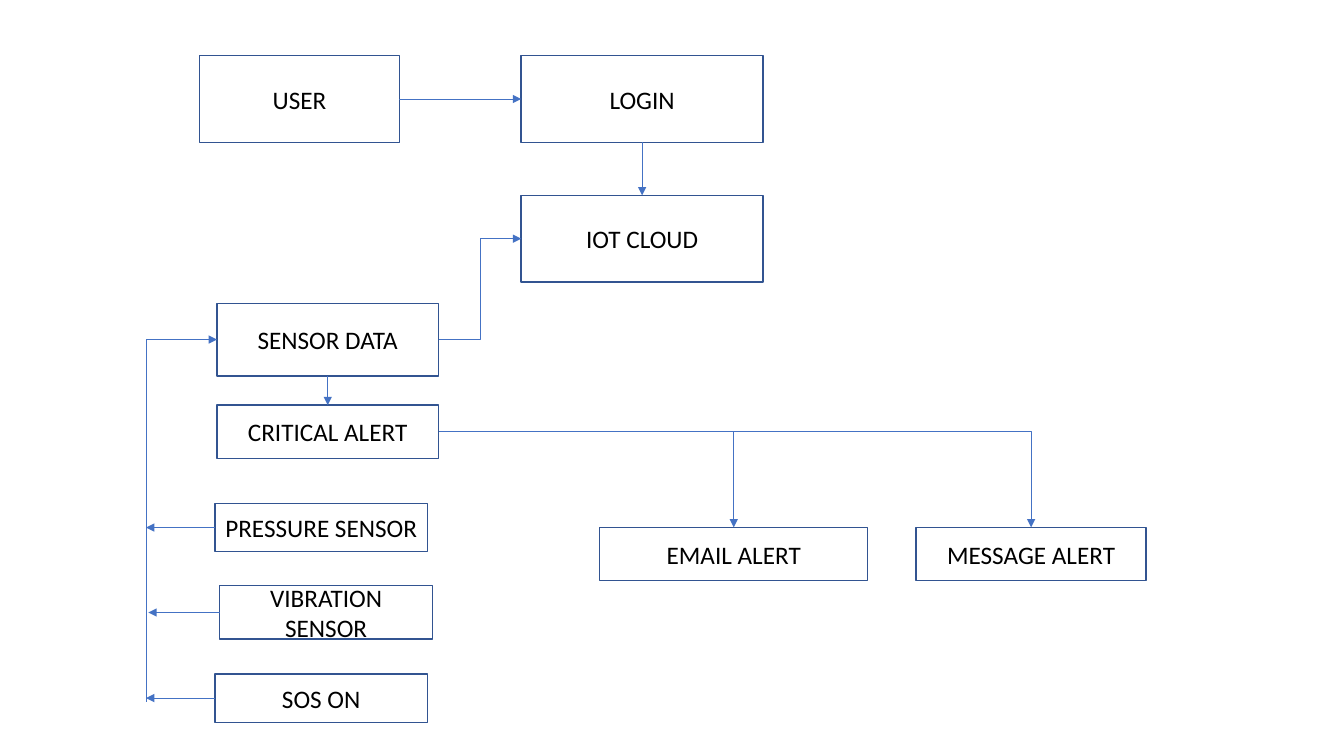
"""Build the flow chart of a sensor alert system."""
from pptx import Presentation
from pptx.dml.color import RGBColor
from pptx.enum.shapes import MSO_CONNECTOR, MSO_SHAPE
from pptx.enum.text import MSO_ANCHOR, PP_ALIGN
from pptx.oxml.ns import qn
from pptx.util import Pt
from lxml.etree import SubElement

WHITE = RGBColor(0xFF, 0xFF, 0xFF)
BLACK = RGBColor(0x00, 0x00, 0x00)
BORDER = RGBColor(0x32, 0x54, 0x91)
ARROW = RGBColor(0x44, 0x72, 0xC4)
TOP, LEFT, BOTTOM, RIGHT = range(4)

BOXES = {
    "USER": (142.7, 39.8, 142.5, 61.9),
    "LOGIN": (372.3, 39.8, 172.8, 61.9),
    "IOT CLOUD": (372.3, 139.6, 172.8, 61.9),
    "SENSOR DATA": (154.9, 216.7, 158.4, 51.8),
    "CRITICAL ALERT": (154.9, 289.4, 158.4, 38.2),
    "EMAIL ALERT": (428.4, 376.7, 191.5, 38.2),
    "MESSAGE ALERT": (654.4, 376.7, 164.2, 38.2),
    "PRESSURE SENSOR": (153.5, 359.6, 152, 34.5),
    "VIBRATION SENSOR": (157, 418.4, 152, 38.2),
    "SOS ON": (153.5, 481.4, 152, 34.5),
}
LINKS = [
    ("USER", RIGHT, "LOGIN", LEFT, "line"),
    ("LOGIN", BOTTOM, "IOT CLOUD", TOP, "line"),
    ("SENSOR DATA", RIGHT, "IOT CLOUD", LEFT, "bentConnector3"),
    ("SENSOR DATA", BOTTOM, "CRITICAL ALERT", TOP, "line"),
    ("CRITICAL ALERT", RIGHT, "MESSAGE ALERT", TOP, "bentConnector2"),
]
RAIL_X, RAIL_BOTTOM = 104.3, 501.4
SENSOR_TIPS = {"PRESSURE SENSOR": RAIL_X, "VIBRATION SENSOR": 106, "SOS ON": RAIL_X}


def add_box(slide, label, bounds):
    shape = slide.shapes.add_shape(MSO_SHAPE.RECTANGLE, *map(Pt, bounds))
    shape.shadow.inherit = False
    shape.fill.solid()
    shape.fill.fore_color.rgb = WHITE
    shape.line.color.rgb = BORDER
    shape.line.width = Pt(1)
    text_frame = shape.text_frame
    text_frame.word_wrap = True
    text_frame.vertical_anchor = MSO_ANCHOR.MIDDLE
    text_frame.text = label
    paragraph = text_frame.paragraphs[0]
    paragraph.alignment = PP_ALIGN.CENTER
    font = paragraph.runs[0].font
    font.name, font.size, font.color.rgb = "Calibri", Pt(18), BLACK
    return shape


def add_arrow(slide, points=(0, 0, 0, 0), geometry="line"):
    connector = slide.shapes.add_connector(MSO_CONNECTOR.STRAIGHT, *map(Pt, points))
    connector.line.color.rgb = ARROW
    connector.line.width = Pt(0.5)
    properties = connector._element.spPr
    properties.find(qn("a:prstGeom")).set("prst", geometry)
    SubElement(properties.find(qn("a:ln")), qn("a:tailEnd"), type="triangle")
    SubElement(properties, qn("a:effectLst"))
    return connector


def middle(label):
    left, top, width, height = BOXES[label]
    return left + width / 2, top + height / 2


def add_rail(slide):
    end_x, end_y = BOXES["SENSOR DATA"][0], middle("SENSOR DATA")[1]
    center_x, center_y = (RAIL_X + end_x) / 2, (RAIL_BOTTOM + end_y) / 2
    half_length, half_depth = (RAIL_BOTTOM - end_y) / 2, (end_x - RAIL_X) / 2
    rail = add_arrow(slide, (center_x + half_length, center_y + half_depth,
                             center_x - half_length, center_y - half_depth),
                     "bentConnector2")
    rail._element.spPr.find(qn("a:xfrm")).set("rot", str(90 * 60000))


presentation = Presentation()
presentation.slide_width, presentation.slide_height = Pt(960), Pt(540)
slide = presentation.slides.add_slide(presentation.slide_layouts[6])

boxes = {label: add_box(slide, label, bounds) for label, bounds in BOXES.items()}

for source, source_side, target, target_side, geometry in LINKS:
    connector = add_arrow(slide, geometry=geometry)
    connector.begin_connect(boxes[source], source_side)
    connector.end_connect(boxes[target], target_side)

add_rail(slide)

for sensor, tip_x in SENSOR_TIPS.items():
    center_y = middle(sensor)[1]
    connector = add_arrow(slide, (BOXES[sensor][0], center_y, tip_x, center_y))
    connector.begin_connect(boxes[sensor], LEFT)

email_x = middle("EMAIL ALERT")[0]
branch = add_arrow(slide, (email_x, middle("CRITICAL ALERT")[1],
                           email_x, BOXES["EMAIL ALERT"][1]))
branch.end_connect(boxes["EMAIL ALERT"], TOP)

presentation.save("out.pptx")
